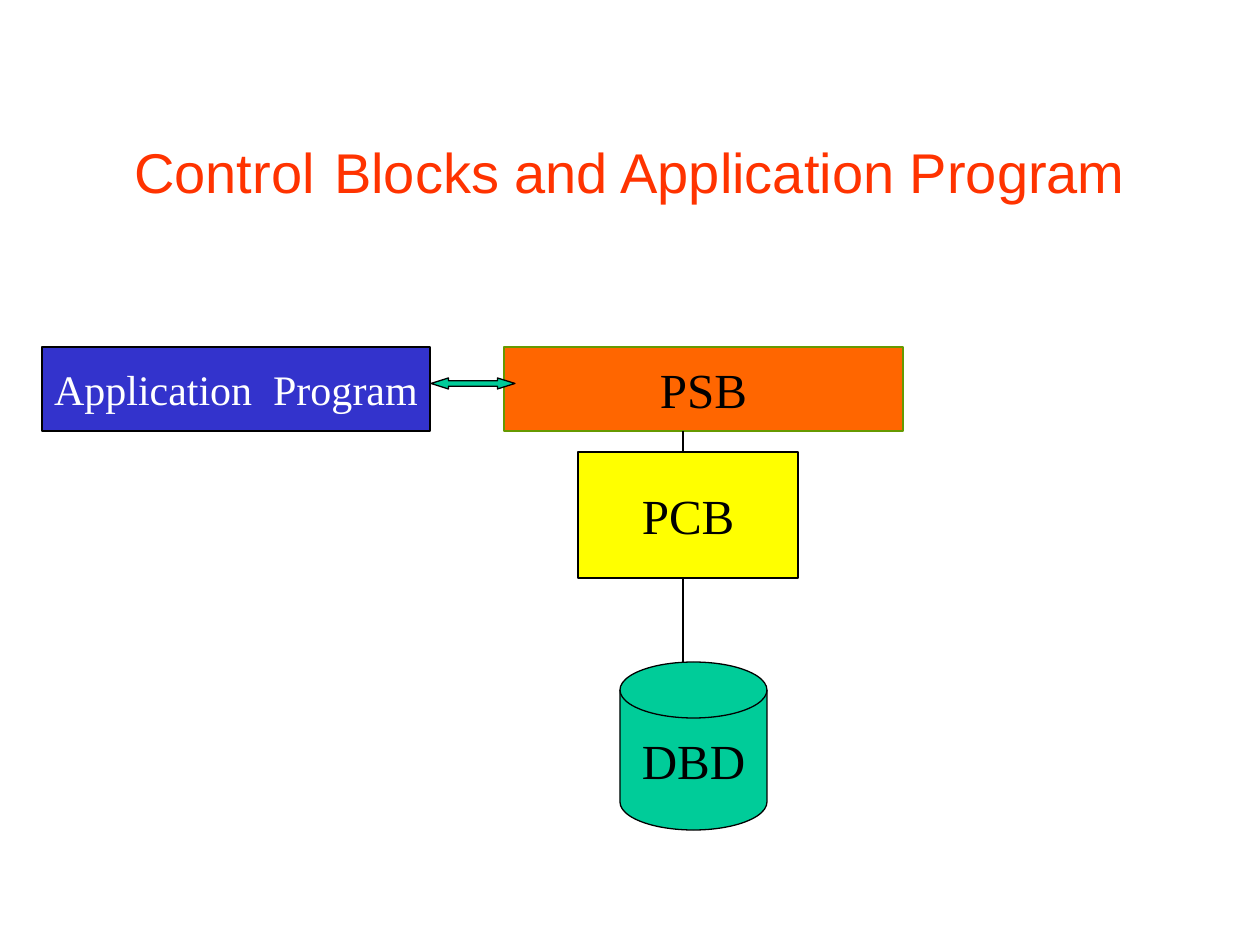
from lxml.etree import SubElement
from pptx import Presentation
from pptx.dml.color import RGBColor
from pptx.enum.shapes import MSO_CONNECTOR, MSO_SHAPE
from pptx.enum.text import MSO_ANCHOR, PP_ALIGN
from pptx.oxml.ns import qn
from pptx.util import Pt

EMU_PER_PX = 914400 / 126
COLORS = {
    "title": "FF3300",
    "black": "000000",
    "white": "FFFFFF",
    "program": "3333CC",
    "psb": "FF6600",
    "psb_line": "669900",
    "pcb": "FFFF00",
    "green": "00CC99",
}


def px(*lengths):
    return [round(length * EMU_PER_PX) for length in lengths]


def add_block(kind, box, fill, line="black"):
    """Add a filled, thinly outlined shape without a shadow."""
    block = slide.shapes.add_shape(kind, *px(*box))
    block.shadow.inherit = False
    block.fill.solid()
    block.fill.fore_color.rgb = RGBColor.from_string(COLORS[fill])
    block.line.color.rgb = RGBColor.from_string(COLORS[line])
    block.line.width = Pt(0.75)
    return block


prs = Presentation()
prs.slide_width, prs.slide_height = px(1260, 945)
slide = prs.slides.add_slide(prs.slide_layouts[5])

# Title
title = slide.shapes.title
title.left, title.top, title.width, title.height = px(94, 84, 1072, 158)
title.text_frame.vertical_anchor = MSO_ANCHOR.MIDDLE
heading = title.text_frame.paragraphs[0]
heading.alignment = PP_ALIGN.CENTER
for words, size, font, color in [
    ("Control", 32, "Arial", "title"),
    (" ", 44, "Times New Roman", "black"),
    ("Blocks and Application Program", 32, "Arial", "title"),
]:
    run = heading.add_run()
    run.text = words
    run.font.size = Pt(size)
    run.font.name = font
    run.font.color.rgb = RGBColor.from_string(COLORS[color])

# Labelled blocks
for label, kind, box, fill, line, size, color in [
    ("PSB", MSO_SHAPE.RECTANGLE, (504, 347, 399, 84), "psb", "psb_line", 28, "black"),
    ("PCB", MSO_SHAPE.RECTANGLE, (578, 452, 220, 126), "pcb", "black", 28, "black"),
    ("DBD", MSO_SHAPE.FLOWCHART_MAGNETIC_DISK, (620, 662, 147, 168), "green", "black", 28, "black"),
    ("Application  Program", MSO_SHAPE.RECTANGLE, (42, 347, 388, 84), "program", "black", 24, "white"),
]:
    block = add_block(kind, box, fill, line)
    frame = block.text_frame
    frame.word_wrap = False
    frame.vertical_anchor = MSO_ANCHOR.MIDDLE
    paragraph = frame.paragraphs[0]
    paragraph.text = label
    paragraph.alignment = PP_ALIGN.CENTER
    font = paragraph.runs[0].font
    font.size = Pt(size)
    font.name = "Times New Roman"
    font.color.rgb = RGBColor.from_string(COLORS[color])

# Links from PSB to PCB and from PCB to DBD
for top, bottom in [(431, 452), (578, 662)]:
    link = slide.shapes.add_connector(MSO_CONNECTOR.STRAIGHT, *px(683, top, 683, bottom))
    link.line.color.rgb = RGBColor.from_string(COLORS["black"])
    link.line.width = Pt(0.75)
    SubElement(link._element.spPr, qn("a:effectLst"))

# Exchange between the application program and PSB
exchange = add_block(MSO_SHAPE.LEFT_RIGHT_ARROW, (431, 378, 84, 11), "green")
exchange.adjustments[0] = 0.5
exchange.adjustments[1] = 1.59

prs.save("out.pptx")
